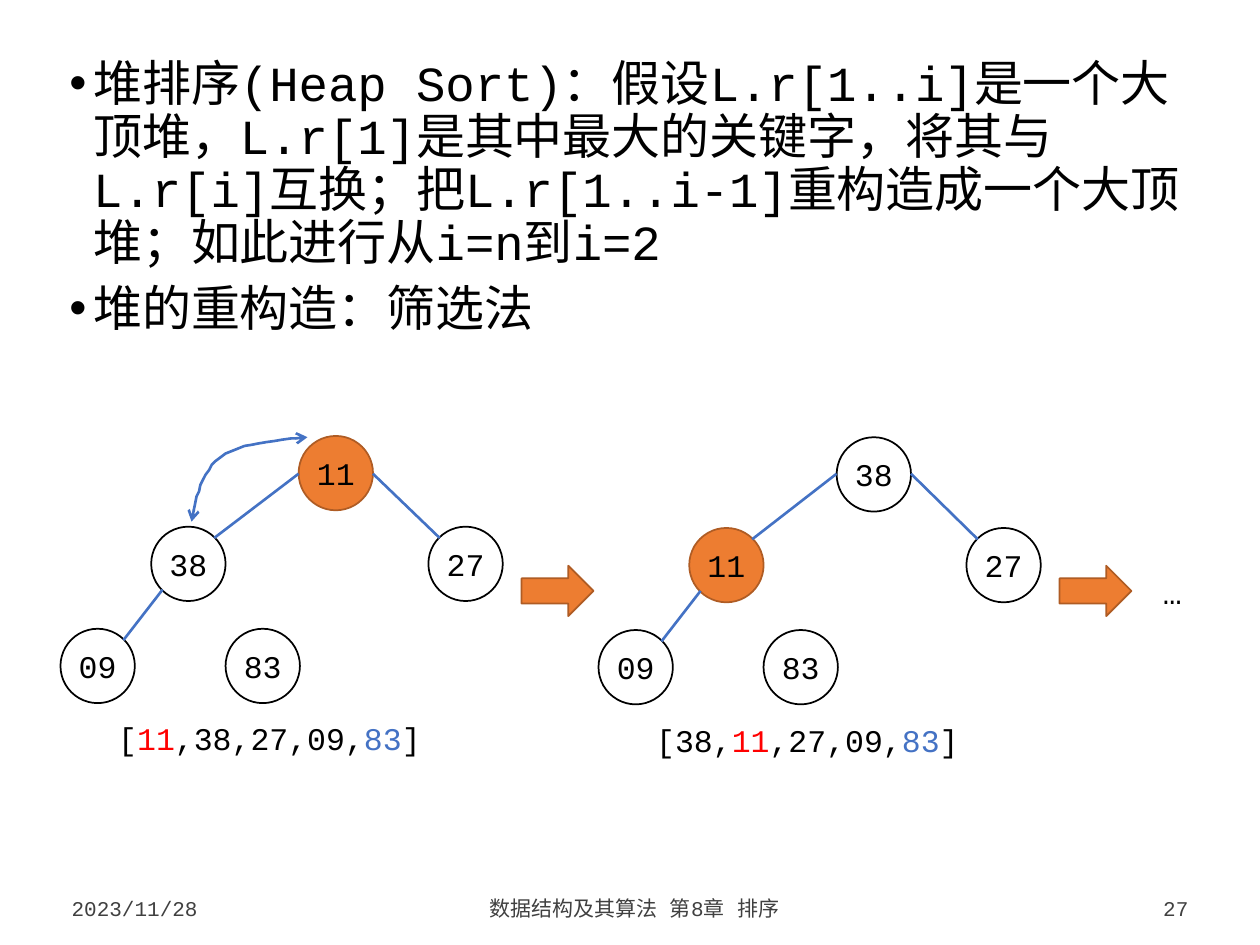
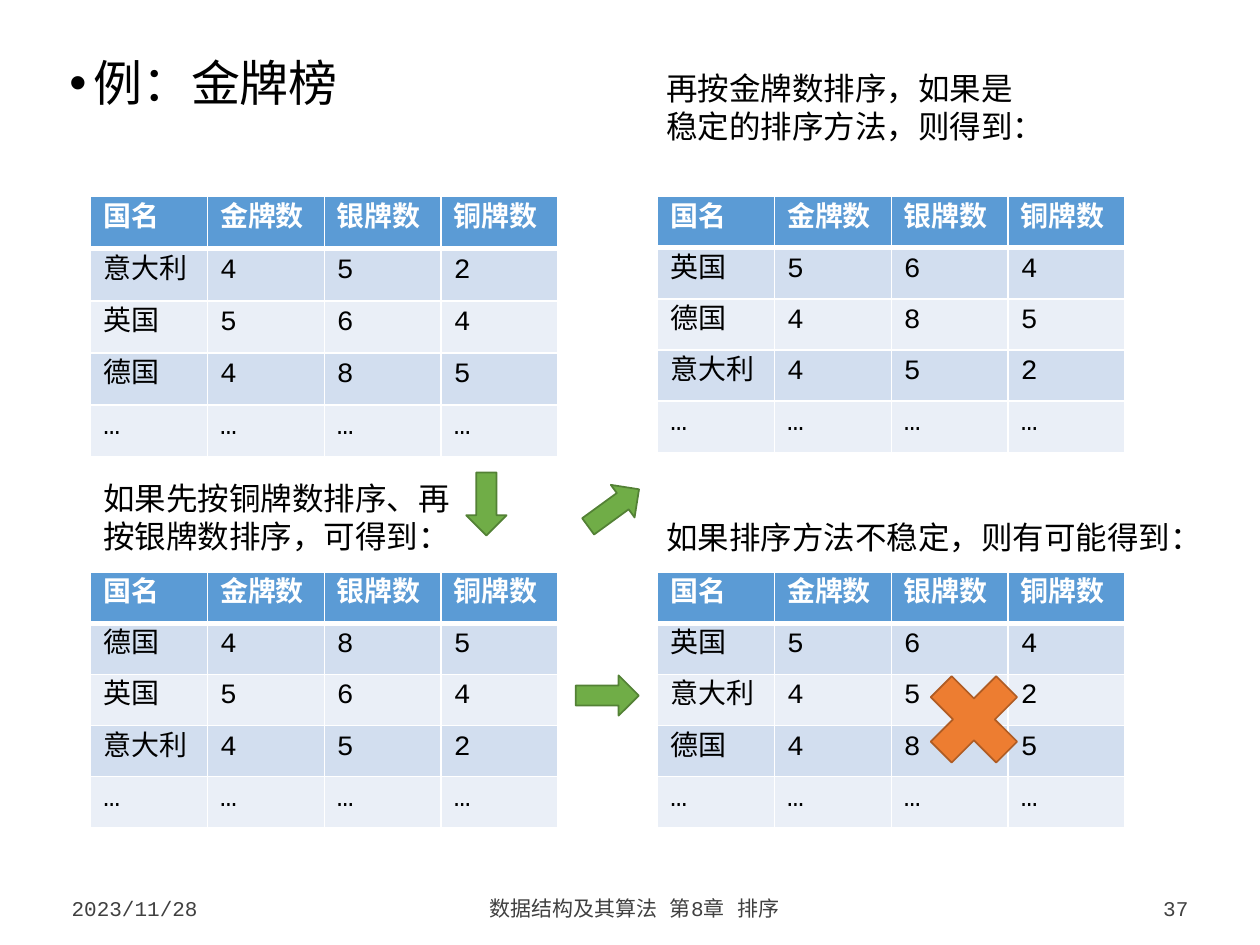
from math import cos, radians, sin

from lxml import etree
from pptx import Presentation
from pptx.dml.color import RGBColor
from pptx.enum.shapes import MSO_CONNECTOR, MSO_SHAPE
from pptx.enum.text import MSO_ANCHOR, PP_ALIGN
from pptx.oxml.ns import qn
from pptx.util import Emu, Pt

PX = 9144  # 100 px to the inch
FONT = "Courier New"
BLACK = RGBColor(0x00, 0x00, 0x00)
WHITE = RGBColor(0xFF, 0xFF, 0xFF)
GREY = RGBColor(0x40, 0x40, 0x40)
RED = RGBColor(0xFF, 0x00, 0x00)
BLUE = RGBColor(0x44, 0x72, 0xC4)
ORANGE = RGBColor(0xED, 0x7D, 0x31)
DARK_ORANGE = RGBColor(0xAF, 0x5C, 0x24)
GREEN = RGBColor(0x70, 0xAD, 0x47)
DARK_GREEN = RGBColor(0x53, 0x81, 0x35)
HEADER_BLUE = RGBColor(0x5B, 0x9B, 0xD5)
BANDS = (RGBColor(0xD2, 0xDE, 0xEF), RGBColor(0xEA, 0xEF, 0xF7))

LEFT, CENTER, RIGHT = PP_ALIGN.LEFT, PP_ALIGN.CENTER, PP_ALIGN.RIGHT
TOP, MIDDLE, BOTTOM = MSO_ANCHOR.TOP, MSO_ANCHOR.MIDDLE, MSO_ANCHOR.BOTTOM
STRAIGHT = MSO_CONNECTOR.STRAIGHT
OVAL = MSO_SHAPE.OVAL
RIGHT_ARROW = MSO_SHAPE.RIGHT_ARROW
DOWN_ARROW = MSO_SHAPE.DOWN_ARROW
MULTIPLY = MSO_SHAPE.MATH_MULTIPLY

NODE = 59
TREE_NODES = {"root": (189, 0), "left": (72, 72), "right": (292, 72),
              "left_left": (0, 153), "left_right": (131, 153)}
# parent, angle on parent, child, angle on child (clockwise from the right)
TREE_EDGES = [("root", 180, "left", 315), ("root", 0, "right", 225),
              ("left", 135, "left_left", 315)]

MEDAL_HEADER = ["国名", "金牌数", "银牌数", "铜牌数"]
ITALY = ["意大利", "4", "5", "2"]
BRITAIN = ["英国", "5", "6", "4"]
GERMANY = ["德国", "4", "8", "5"]
MORE = ["…"] * 4


def px(*lengths):
    return [Emu(length * PX) for length in lengths]


def write(frame, text, size=18, color=BLACK, bold=False, align=LEFT,
          anchor=TOP, wrap=True, bullet=False):
    """Fill a text frame; text is a list of paragraphs, each a string or a list of (text, colour)."""
    frame.word_wrap = wrap
    frame.vertical_anchor = anchor
    for index, spans in enumerate(text):
        para = frame.add_paragraph() if index else frame.paragraphs[0]
        para.alignment = align
        if bullet:
            add_bullet(para)
            para.line_spacing = 0.9
            if index:
                para.space_before = Pt(7.5)
        if isinstance(spans, str):
            spans = [(spans, color)]
        for words, span_color in spans:
            span = para.add_run()
            span.text = words
            span.font.size = Pt(size)
            span.font.bold = bold
            span.font.name = FONT
            span.font.color.rgb = span_color
            etree.SubElement(span.font._element, qn("a:ea"), typeface=FONT)


def add_bullet(para):
    properties = para._p.get_or_add_pPr()
    properties.set("marL", str(19 * PX))
    properties.set("indent", str(-19 * PX))
    etree.SubElement(properties, qn("a:buFont"), typeface="Arial")
    etree.SubElement(properties, qn("a:buChar"), char="•")


def set_cell_borders(cell, top, bottom):
    """White borders, 1 pt at the sides and the given points above and below."""
    properties = cell._tc.get_or_add_tcPr()
    widths = {"lnL": 1, "lnR": 1, "lnT": top, "lnB": bottom}
    for index, (side, width) in enumerate(widths.items()):
        line = etree.Element(qn(f"a:{side}"), w=str(Pt(width)))
        fill = etree.SubElement(line, qn("a:solidFill"))
        etree.SubElement(fill, qn("a:srgbClr"), val=str(WHITE))
        properties.insert(index, line)


def rim_point(left, top, angle):
    """Point on the rim of a tree node."""
    radius = NODE / 2
    return (round(left + radius + radius * cos(radians(angle))),
            round(top + radius + radius * sin(radians(angle))))


def bezier(points, steps=12):
    """Whole-px points along a cubic curve, without its start."""
    weights = [(1, 0), (3, 1), (3, 2), (1, 3)]
    for step in range(1, steps + 1):
        t = step / steps
        yield tuple(round(sum(factor * (1 - t) ** (3 - power) * t ** power * point[axis]
                              for (factor, power), point in zip(weights, points)))
                    for axis in (0, 1))


class Lecture:
    def __init__(self):
        self.deck = Presentation()
        self.deck.slide_width, self.deck.slide_height = px(1000, 750)
        self.page = None

    def new_page(self, number, bullets):
        self.page = self.deck.slides.add_slide(self.deck.slide_layouts[6])
        body = self.text(47, 39, 906, 642, bullets, size=28, bullet=True)
        frame = body.text_frame
        frame.margin_left = frame.margin_right = Emu(8 * PX)
        frame.margin_top = frame.margin_bottom = Emu(8 * PX)
        footers = [(47, 125, "2023/11/28", LEFT),
                   (184, 639, "数据结构及其算法 第8章 排序", CENTER),
                   (835, 118, str(number), RIGHT)]
        for left, width, words, align in footers:
            self.text(left, 697, width, 39, [words], size=12, color=GREY,
                      align=align, anchor=BOTTOM)

    def text(self, left, top, width, height, paragraphs, **style):
        box = self.page.shapes.add_textbox(*px(left, top, width, height))
        write(box.text_frame, paragraphs, **style)
        return box

    def shape(self, kind, left, top, width, height, fill, line, rotation=0):
        shape = self.page.shapes.add_shape(kind, *px(left, top, width, height))
        shape.shadow.inherit = False
        shape.fill.solid()
        shape.fill.fore_color.rgb = fill
        shape.line.color.rgb = line
        shape.line.width = Pt(1)
        shape.rotation = rotation
        return shape

    def node(self, left, top, key, marked):
        colors = (ORANGE, DARK_ORANGE) if marked else (WHITE, BLACK)
        circle = self.shape(OVAL, left, top, NODE, NODE, *colors)
        frame = circle.text_frame
        frame.margin_left = frame.margin_right = 0
        write(frame, [key], align=CENTER, anchor=MIDDLE, wrap=False)

    def edge(self, start, end):
        line = self.page.shapes.add_connector(STRAIGHT, *px(*start, *end))
        line.line.color.rgb = BLUE
        line.line.width = Pt(1.5)
        etree.SubElement(line._element.spPr, qn("a:effectLst"))

    def heap(self, left, top, keys, marked, array):
        """Draw a heap as a tree, with its array written below."""
        places = {name: (left + x, top + y) for name, (x, y) in TREE_NODES.items()}
        for place, key in zip(places.values(), keys):
            self.node(*place, key, key == marked)
        for parent, parent_angle, child, child_angle in TREE_EDGES:
            self.edge(rim_point(*places[parent], parent_angle),
                      rim_point(*places[child], child_angle))
        self.text(left + 36, top + 220, 307, 40, [array])

    def swap_curve(self, start, *segments):
        """Draw a curve with an arrowhead at both ends."""
        points = []
        for segment in segments:
            points += bezier([points[-1] if points else start, *segment])
        builder = self.page.shapes.build_freeform(*start, scale=PX)
        builder.add_line_segments(points, close=False)
        curve = builder.convert_to_shape()
        curve.shadow.inherit = False
        curve.fill.background()
        curve.line.color.rgb = BLUE
        curve.line.width = Pt(1.5)
        for end in ("headEnd", "tailEnd"):
            etree.SubElement(curve.line._get_or_add_ln(), qn(f"a:{end}"), type="arrow")

    def medal_table(self, left, top, countries, height=203):
        rows = [MEDAL_HEADER, *countries, MORE]
        table = self.page.shapes.add_table(
            len(rows), len(MEDAL_HEADER), *px(left, top, 371, height)).table
        for row_index, row in enumerate(rows):
            header = row_index == 0
            for column_index, words in enumerate(row):
                cell = table.cell(row_index, column_index)
                cell.fill.solid()
                cell.fill.fore_color.rgb = HEADER_BLUE if header else BANDS[(row_index - 1) % 2]
                set_cell_borders(cell, top=3 if row_index == 1 else 1, bottom=3 if header else 1)
                write(cell.text_frame, [words], size=16, bold=header,
                      color=WHITE if header else BLACK)


def heap_sort_page(lecture):
    lecture.new_page(27, [
        "堆排序(Heap Sort)：假设L.r[1..i]是一个大顶堆，L.r[1]是其中最大的关键字，"
        "将其与L.r[i]互换；把L.r[1..i-1]重构造成一个大顶堆；如此进行从i=n到i=2",
        "堆的重构造：筛选法"])
    lecture.heap(48, 346, ["11", "38", "27", "09", "83"], "11",
                 [("[", BLACK), ("11", RED), (",38,27,09,", BLACK), ("83", BLUE), ("]", BLACK)])
    lecture.heap(475, 347, ["38", "11", "27", "09", "83"], "11",
                 [("[38,", BLACK), ("11", RED), (",27,09,", BLACK), ("83", BLUE), ("]", BLACK)])
    lecture.swap_curve((152, 414), [(156, 394), (160, 374), (175, 363)],
                       [(191, 352), (217, 349), (244, 347)])
    for left in (414, 841):
        lecture.shape(RIGHT_ARROW, left, 449, 57, 40, ORANGE, DARK_ORANGE)
    lecture.text(913, 450, 35, 40, ["…"], wrap=False)


def medal_page(lecture):
    lecture.new_page(37, ["例：金牌榜"])
    lecture.medal_table(72, 156, [ITALY, BRITAIN, GERMANY], height=207)
    lecture.medal_table(72, 454, [GERMANY, BRITAIN, ITALY])
    lecture.medal_table(522, 156, [BRITAIN, GERMANY, ITALY])
    lecture.medal_table(522, 454, [BRITAIN, ITALY, GERMANY])
    lecture.text(72, 375, 298, 71, ["如果先按铜牌数排序、再按银牌数排序，可得到："])
    lecture.text(519, 50, 315, 71, ["再按金牌数排序，如果是稳定的排序方法，则得到："])
    lecture.text(519, 406, 449, 40, ["如果排序方法不稳定，则有可能得到："], wrap=False)
    lecture.shape(MULTIPLY, 723, 521, 100, 100, ORANGE, DARK_ORANGE)
    for left, top, rotation in [(370, 375, 0), (471, 378, 233.9), (466, 527, 270)]:
        lecture.shape(DOWN_ARROW, left, top, 32, 50, GREEN, DARK_GREEN, rotation)


def main():
    lecture = Lecture()
    heap_sort_page(lecture)
    medal_page(lecture)
    lecture.deck.save("out.pptx")


if __name__ == "__main__":
    main()
